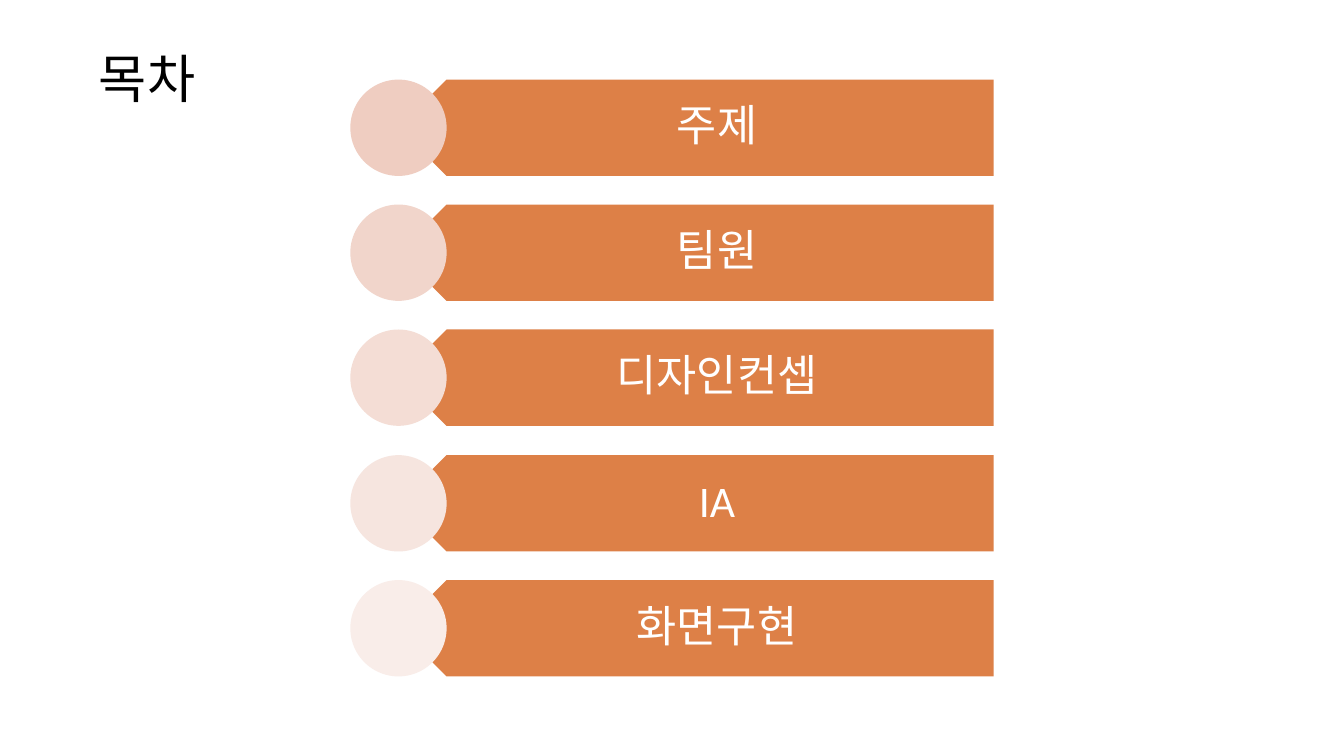
from dataclasses import dataclass

from lxml.etree import SubElement
from pptx import Presentation
from pptx.dml.color import RGBColor
from pptx.enum.shapes import MSO_SHAPE
from pptx.enum.text import MSO_ANCHOR, PP_ALIGN
from pptx.oxml.ns import qn
from pptx.util import Pt

PX = 9144  # EMU per px, 100 px to the inch


@dataclass(frozen=True)
class Theme:
    title_color: str = "000000"
    label_color: str = "FFFFFF"
    bar_color: str = "DD8047"
    title_size: int = 54
    label_size: int = 45
    latin_font: str = "Calibri"
    korean_font: str = "Noto Sans CJK KR"


@dataclass(frozen=True)
class Box:
    left: int
    top: int
    width: int
    height: int

    def emu(self):
        return [round(side * PX) for side in (self.left, self.top, self.width, self.height)]


THEME = Theme()
PAGE_SIZE = (1926, 1083)
TITLE_BOX = Box(132, 58, 1661, 119)
CONTENTS_BOX = Box(502, 114, 922, 855)
ROW_HEIGHT = 138
CONTENTS = [
    ("주제", "EFCDC1"),
    ("팀원", "F1D5CB"),
    ("디자인컨셉", "F4DDD5"),
    ("IA", "F6E5DF"),
    ("화면구현", "F9EDE9"),
]


def write_text(shape, text, size, color, font, align, insets):
    frame = shape.text_frame
    margins = dict(zip(("left", "top", "right", "bottom"), insets))
    for side, inset in margins.items():
        setattr(frame, f"margin_{side}", inset * PX)
    frame.word_wrap = True
    frame.vertical_anchor = MSO_ANCHOR.MIDDLE
    para = frame.paragraphs[0]
    para.alignment = align
    para.line_spacing = 0.9
    span = para.add_run()
    span.text = text
    for name, value in {"size": Pt(size), "name": font}.items():
        setattr(span.font, name, value)
    span.font.color.rgb = RGBColor.from_string(color)
    SubElement(span.font._element, qn("a:ea"), typeface=THEME.korean_font)


def paint(shape, color):
    shape.shadow.inherit = False
    shape.fill.solid()
    shape.fill.fore_color.rgb = RGBColor.from_string(color)
    shape.line.fill.background()


def add_title(page, box, text):
    title = page.shapes.add_textbox(*box.emu())
    write_text(title, text, THEME.title_size, THEME.title_color,
               THEME.korean_font, PP_ALIGN.LEFT, (10, 5, 10, 5))


def add_row(group, box, label, circle_color):
    """Draw a bar pointing left, with its tip under a circle."""
    left, top, width, height = box.emu()
    right, bottom = left + width, top + height
    shoulder, tip = left + height, left + height // 2
    outline = group.shapes.build_freeform(right, bottom)
    outline.add_line_segments(
        [(shoulder, bottom), (tip, top + height // 2), (shoulder, top), (right, top)],
        close=True,
    )
    bar = outline.convert_to_shape()
    paint(bar, THEME.bar_color)
    write_text(bar, label, THEME.label_size, THEME.label_color,
               THEME.latin_font, PP_ALIGN.CENTER, (95, 19, 35, 19))
    circle = group.shapes.add_shape(MSO_SHAPE.OVAL, left, top, height, height)
    paint(circle, circle_color)


def add_contents(page, box, entries):
    group = page.shapes.add_group_shape()
    pitch = (box.height - ROW_HEIGHT) / (len(entries) - 1)
    for index, (label, circle_color) in enumerate(entries):
        row_top = round(box.top + index * pitch)
        add_row(group, Box(box.left, row_top, box.width, ROW_HEIGHT), label, circle_color)


def main():
    deck = Presentation()
    deck.slide_width, deck.slide_height = (side * PX for side in PAGE_SIZE)
    page = deck.slides.add_slide(deck.slide_layouts[6])
    add_title(page, TITLE_BOX, "목차")
    add_contents(page, CONTENTS_BOX, CONTENTS)
    deck.save("out.pptx")


if __name__ == "__main__":
    main()
